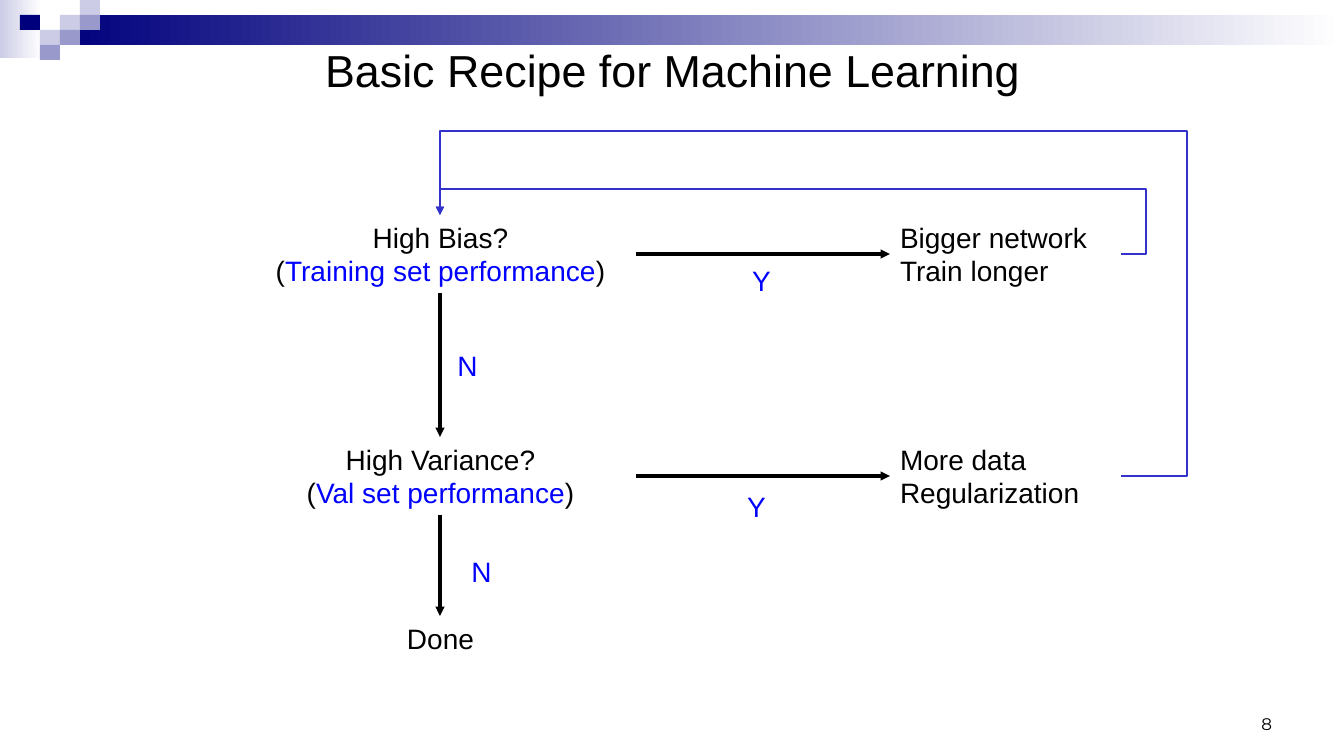
"""Build the "Basic Recipe for Machine Learning" flowchart slide."""
from dataclasses import dataclass

from lxml import etree
from pptx import Presentation
from pptx.dml.color import RGBColor
from pptx.enum.shapes import MSO_CONNECTOR, MSO_SHAPE
from pptx.enum.text import MSO_ANCHOR, MSO_AUTO_SIZE, PP_ALIGN
from pptx.oxml.ns import qn
from pptx.shapes.connector import Connector
from pptx.slide import Slide
from pptx.text.text import TextFrame
from pptx.util import Emu, Pt

STRAIGHT, ELBOW = MSO_CONNECTOR.STRAIGHT, MSO_CONNECTOR.ELBOW
RECTANGLE = MSO_SHAPE.RECTANGLE
LEFT, CENTER, RIGHT = PP_ALIGN.LEFT, PP_ALIGN.CENTER, PP_ALIGN.RIGHT
MIDDLE, TOP, BOTTOM = MSO_ANCHOR.MIDDLE, MSO_ANCHOR.TOP, MSO_ANCHOR.BOTTOM
GROW, FIXED = MSO_AUTO_SIZE.SHAPE_TO_FIT_TEXT, MSO_AUTO_SIZE.NONE

BLACK = RGBColor(0x00, 0x00, 0x00)
WHITE = RGBColor(0xFF, 0xFF, 0xFF)
BLUE = RGBColor(0x00, 0x00, 0xFF)
LOOP_BLUE = RGBColor(0x33, 0x33, 0xCC)
NAVY = RGBColor(0x00, 0x00, 0x7D)
LAVENDER = RGBColor(0xCC, 0xCC, 0xE6)
PERIWINKLE = RGBColor(0x99, 0x99, 0xCC)

SLIDE_WIDTH, SLIDE_HEIGHT = 1344, 756
EMU_PER_PX = 12192000 / SLIDE_WIDTH
TILE_WIDTH, TILE_HEIGHT = 20, 15
BIAS_TOP, VARIANCE_TOP = 215, 437
BIAS_MIDDLE, VARIANCE_MIDDLE = 254, 476
QUESTION_AXIS = 440

Box = tuple[int, int, int, int]
Point = tuple[int, int]
Runs = list[tuple[str, RGBColor]]


@dataclass
class Band:
    box: Box
    color: RGBColor


@dataclass
class Tile:
    column: int
    row: int
    color: RGBColor


@dataclass
class Label:
    box: Box
    paragraphs: list[Runs]
    align: PP_ALIGN = CENTER
    anchor: MSO_ANCHOR = TOP
    size: int = 20
    font: str = "Arial"
    wrap: bool = True
    inset: int = 10


@dataclass
class Arrow:
    start: Point
    end: Point


@dataclass
class Loop:
    start: Point
    corner: Point
    end: Point


BANDS = [Band((0, 0, 42, 58), LAVENDER), Band((60, 15, 1284, 30), NAVY)]
TILES = [
    Tile(3, 1, LAVENDER), Tile(4, 0, LAVENDER), Tile(4, 1, PERIWINKLE),
    Tile(2, 2, LAVENDER), Tile(1, 1, NAVY), Tile(3, 2, PERIWINKLE),
    Tile(2, 3, PERIWINKLE),
]
TITLE = Label((68, 21, 1210, 103), [[("Basic Recipe for Machine Learning", BLACK)]],
              anchor=MIDDLE, size=32)


def question(top: int, heading: str, detail: str) -> Label:
    """Describe a question with its blue detail in brackets."""
    runs = [(heading, BLACK), ("\n", BLACK), ("(", BLACK), (detail, BLUE), (")", BLACK)]
    return Label((244, top, 393, 78), [runs])


def remedy(top: int, *lines: str) -> Label:
    """Describe the remedies at the right of a question."""
    return Label((890, top, 231, 78), [[(line, BLACK)] for line in lines], LEFT)


def word(left: int, top: int, text: str, color: RGBColor = BLUE) -> Label:
    """Describe a single centred word."""
    return Label((left, top, 143, 44), [[(text, color)]])


LABELS = [
    Label((1243, 705, 34, 34), [[("8", BLACK)]], RIGHT, BOTTOM, 12, "Montserrat",
          wrap=False, inset=5),
    question(BIAS_TOP, "High Bias?", "Training set performance"),
    remedy(BIAS_TOP, "Bigger network", "Train longer"),
    question(VARIANCE_TOP, "High Variance?", "Val set performance"),
    remedy(VARIANCE_TOP, "More data", "Regularization"),
    word(690, 258, "Y"),
    word(685, 484, "Y"),
    word(396, 343, "N"),
    word(410, 549, "N"),
    word(369, 616, "Done", BLACK),
]
ARROWS = [
    Arrow((636, BIAS_MIDDLE), (890, BIAS_MIDDLE)),
    Arrow((636, VARIANCE_MIDDLE), (890, VARIANCE_MIDDLE)),
    Arrow((QUESTION_AXIS, 293), (QUESTION_AXIS, VARIANCE_TOP)),
    Arrow((QUESTION_AXIS, 515), (QUESTION_AXIS, 616)),
]
LOOPS = [
    Loop((1121, BIAS_MIDDLE), (1146, 189), (QUESTION_AXIS, BIAS_TOP)),
    Loop((1121, VARIANCE_MIDDLE), (1187, 131), (QUESTION_AXIS, BIAS_TOP)),
]


def px(*lengths: int) -> list[Emu]:
    """Turn px into EMU."""
    return [Emu(round(length * EMU_PER_PX)) for length in lengths]


def set_all(target: object, values: dict[str, object]) -> None:
    """Set each attribute from a dict of format values."""
    for name, value in values.items():
        setattr(target, name, value)


def draw_block(slide: Slide, box: Box, color: RGBColor, fades: bool = False) -> None:
    """Draw a header rectangle, solid or fading to white at the right."""
    block = slide.shapes.add_shape(RECTANGLE, *px(*box))
    block.shadow.inherit = False
    block.line.fill.background()
    if fades:
        block.fill.gradient()
        block.fill.gradient_angle = 180
        for stop, shade, position in zip(block.fill.gradient_stops, (WHITE, color), (0, 1)):
            stop.color.rgb = shade
            stop.position = position
    else:
        block.fill.solid()
        block.fill.fore_color.rgb = color


def write(frame: TextFrame, label: Label, auto_size: MSO_AUTO_SIZE) -> None:
    """Fill a text frame with the formatted paragraphs of a label."""
    side, edge = px(label.inset, 5)
    set_all(frame, {
        "word_wrap": label.wrap, "auto_size": auto_size, "vertical_anchor": label.anchor,
        "margin_left": side, "margin_right": side, "margin_top": edge, "margin_bottom": edge,
    })
    for index, runs in enumerate(label.paragraphs):
        paragraph = frame.add_paragraph() if index else frame.paragraphs[0]
        paragraph.alignment = label.align
        for text, color in runs:
            if text == "\n":
                paragraph.add_line_break()
                continue
            run = paragraph.add_run()
            run.text = text
            set_all(run.font, {"size": Pt(label.size), "name": label.font})
            run.font.color.rgb = color


def draw_connector(slide: Slide, kind: MSO_CONNECTOR, start: Point, end: Point,
                   color: RGBColor, width: float) -> Connector:
    """Draw a connector with a triangle at its end."""
    connector = slide.shapes.add_connector(kind, *px(*start, *end))
    connector.line.color.rgb = color
    connector.line.width = Pt(width)
    etree.SubElement(connector.line._get_or_add_ln(), qn("a:tailEnd"), type="triangle")
    etree.SubElement(connector._element.spPr, qn("a:effectLst"))
    return connector


def draw_loop(slide: Slide, loop: Loop) -> None:
    """Draw a feedback elbow that turns at the loop's outer corner."""
    connector = draw_connector(slide, ELBOW, loop.start, loop.end, LOOP_BLUE, 1.5)
    geometry = connector._element.spPr.find(qn("a:prstGeom"))
    geometry.set("prst", "bentConnector4")
    guides = geometry.find(qn("a:avLst"))
    for number, (start, corner, end) in enumerate(zip(loop.start, loop.corner, loop.end), 1):
        ratio = round((corner - start) / (end - start) * 100000)
        etree.SubElement(guides, qn("a:gd"), name=f"adj{number}", fmla=f"val {ratio}")


def main() -> None:
    """Build and save the slide."""
    deck = Presentation()
    deck.slide_width, deck.slide_height = px(SLIDE_WIDTH, SLIDE_HEIGHT)
    slide = deck.slides.add_slide(deck.slide_layouts[5])
    for band in BANDS:
        draw_block(slide, band.box, band.color, fades=True)
    for tile in TILES:
        corner = (tile.column * TILE_WIDTH, tile.row * TILE_HEIGHT)
        draw_block(slide, (*corner, TILE_WIDTH, TILE_HEIGHT), tile.color)
    title = slide.shapes.title
    set_all(title, dict(zip(("left", "top", "width", "height"), px(*TITLE.box))))
    write(title.text_frame, TITLE, FIXED)
    title.text_frame.paragraphs[0].line_spacing = 0.93
    for label in LABELS:
        write(slide.shapes.add_textbox(*px(*label.box)).text_frame, label, GROW)
    for arrow in ARROWS:
        draw_connector(slide, STRAIGHT, arrow.start, arrow.end, BLACK, 2.25)
    for loop in LOOPS:
        draw_loop(slide, loop)
    deck.save("out.pptx")


if __name__ == "__main__":
    main()
